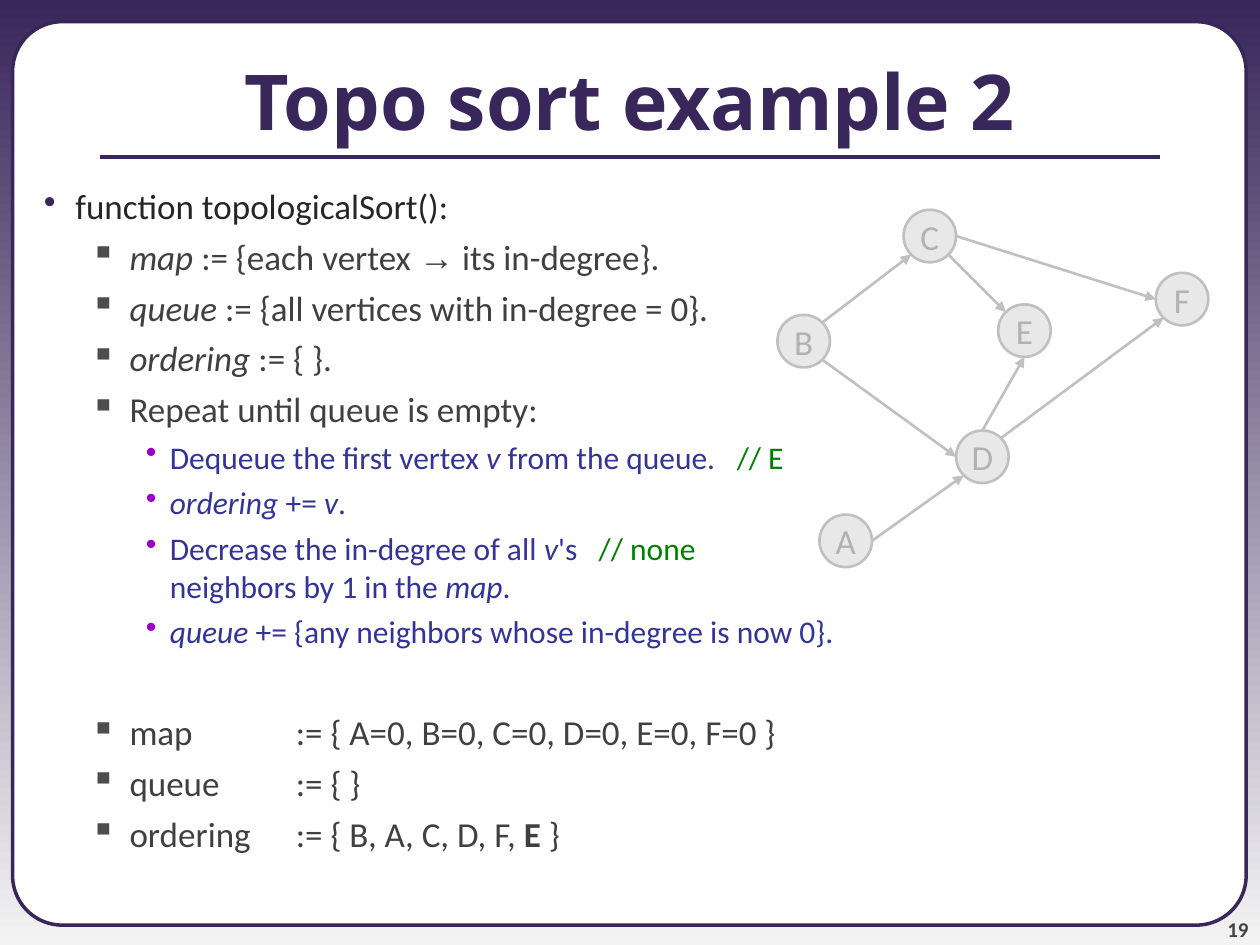
from dataclasses import dataclass
from math import cos, radians, sin

from lxml import etree
from pptx import Presentation
from pptx.dml.color import RGBColor
from pptx.enum.shapes import MSO_CONNECTOR, MSO_SHAPE
from pptx.enum.text import MSO_ANCHOR, MSO_AUTO_SIZE, PP_ALIGN
from pptx.oxml.ns import qn
from pptx.util import Emu, Inches, Pt

STRAIGHT = MSO_CONNECTOR.STRAIGHT
ROUNDED, OVAL = MSO_SHAPE.ROUNDED_RECTANGLE, MSO_SHAPE.OVAL
MIDDLE, BOTTOM = MSO_ANCHOR.MIDDLE, MSO_ANCHOR.BOTTOM
CENTER, RIGHT = PP_ALIGN.CENTER, PP_ALIGN.RIGHT
NO_FIT = MSO_AUTO_SIZE.NONE


@dataclass(frozen=True)
class Theme:
    """Colours, fonts and type sizes of the slide."""
    brand: str = "39275B"
    mist: str = "F3F3F3"
    panel: str = "FFFFFF"
    number: str = "424242"
    comment: str = "008000"
    node: str = "E8E8E8"
    edge: str = "C0C0C0"
    label: str = "B2B2B2"
    heading: str = "Open Sans"
    body: str = "Calibri"
    symbol: str = "Arial"
    title_size: int = 44
    node_size: int = 20
    number_size: int = 12


@dataclass(frozen=True)
class Level:
    """Look of one outline level."""
    bullet: str
    bullet_color: str
    color: str
    size: int
    margin: float
    hang: float
    before: float


THEME = Theme()
LEVELS = [
    Level("•", "39275B", "262626", 20, 0.5, 0.25, 5),
    Level("▪", "4D4D4D", "404040", 20, 0.93, 0.31, 5),
    Level("•", "9900CC", "333399", 18, 1.25, 0.19, 4.5),
]
VALUE_TAB = 2.25
STATE_GAP = 34.5

ALGORITHM = [
    (0, [("function topologicalSort():", "")]),
    (1, [("map ", "i"), (":= {each vertex ", ""), ("→", "symbol"), (" its in-degree}.", "")]),
    (1, [("queue ", "i"), (":= {all vertices with in-degree = 0}.", "")]),
    (1, [("ordering ", "i"), (":= { }.", "")]),
    (1, [("Repeat until queue is empty:", "")]),
    (2, [("Dequeue the first vertex ", ""), ("v", "i"), (" from the queue.   ", ""),
         ("// E", "comment")]),
    (2, [("ordering ", "i"), ("+= ", ""), ("v", "i"), (".", "")]),
    (2, [("Decrease the in-degree of all ", ""), ("v", "i"), ("'s   ", ""),
         ("// none", "comment"), ("", "break"), ("neighbors by 1 in the ", ""),
         ("map", "i"), (".", "")]),
    (2, [("queue ", "i"), ("+= {any neighbors whose in-degree is now 0}.", "")]),
]
STATE = [
    (1, [("map\t:= { A=0, B=0, C=0, D=0, E=0, F=0 }", "")]),
    (1, [("queue\t:= { }", "")]),
    (1, [("ordering\t:= { B, A, C, D, F, ", ""), ("E", "b"), (" }", "")]),
]

GRAPH_COLS, NODE_CELLS = 41, 5
NODES = {"C": (12, 0), "A": (4, 29), "F": (36, 6), "D": (17, 21), "B": (0, 10), "E": (21, 9)}
ANGLES = {"e": 0, "se": 45, "s": 90, "sw": 135, "w": 180, "nw": 225, "n": 270, "ne": 315}
EDGES = [("B", "ne", "C", "sw"), ("C", "e", "F", "w"), ("B", "se", "D", "w"),
         ("D", "ne", "F", "sw"), ("A", "e", "D", "sw"), ("C", "se", "E", "nw"),
         ("D", "n", "E", "s")]


def rgb(color):
    """Turn a hex string into a colour."""
    return RGBColor.from_string(color)


def set_font(font, name, size, color, bold=False):
    """Apply face, size, colour and weight to a font."""
    font.name, font.size, font.bold = name, Pt(size), bold
    font.color.rgb = rgb(color)


def share(prs, left, top, width, height):
    """Return a box given as shares of the slide."""
    w, h = prs.slide_width, prs.slide_height
    return Emu(int(left * w)), Emu(int(top * h)), Emu(int(width * w)), Emu(int(height * h))


def add_panel(shapes, box, kind, fill, line, width):
    """Add a filled and outlined shape without shadow."""
    sp = shapes.add_shape(kind, *box)
    sp.shadow.inherit = False
    sp.fill.solid()
    sp.fill.fore_color.rgb = rgb(fill)
    sp.line.color.rgb = rgb(line)
    sp.line.width = Pt(width)
    return sp


def add_line(shapes, start, end, color, width, arrow=False):
    """Add a straight line, with an arrowhead at its end if asked."""
    cx = shapes.add_connector(STRAIGHT, *[Emu(int(v)) for v in (*start, *end)])
    cx.line.color.rgb = rgb(color)
    cx.line.width = Pt(width)
    if arrow:
        etree.SubElement(cx.line._get_or_add_ln(), qn("a:tailEnd"), type="triangle")
    etree.SubElement(cx._element.spPr, qn("a:effectLst"))


def clear_insets(tf):
    """Remove the inner margins of a text frame."""
    tf.margin_left = tf.margin_right = tf.margin_top = tf.margin_bottom = 0


def build_backdrop(prs, s, box):
    """Paint the gradient and the rounded panel."""
    fill = s.background.fill
    fill.gradient()
    fill.gradient_angle = 270
    for stop, color, position in zip(fill.gradient_stops, (THEME.brand, THEME.mist), (0, 1)):
        stop.color.rgb = rgb(color)
        stop.position = position
    panel = add_panel(s.shapes, box, ROUNDED, THEME.panel, THEME.brand, 2)
    panel.adjustments[0] = 0.055


def build_title(s, box, text):
    """Place the title above the panel and underline it."""
    left, top, width, height = box
    sp = s.shapes.title
    s.shapes._spTree.append(sp._element)
    sp.left, sp.top, sp.width, sp.height = box
    tf = sp.text_frame
    tf.text = text
    tf.auto_size, tf.vertical_anchor, tf.word_wrap = NO_FIT, MIDDLE, True
    p = tf.paragraphs[0]
    p.alignment = CENTER
    set_font(p.runs[0].font, THEME.heading, THEME.title_size, THEME.brand, True)
    rule_y = top + height * 0.866
    add_line(s.shapes, (left + width * 0.079, rule_y), (left + width * 0.921, rule_y),
             THEME.brand, 2.25)


def build_number(s, box, text):
    """Place the slide number."""
    tf = s.shapes.add_textbox(*box).text_frame
    clear_insets(tf)
    tf.word_wrap, tf.vertical_anchor = True, BOTTOM
    tf.text = text
    p = tf.paragraphs[0]
    p.alignment = RIGHT
    set_font(p.runs[0].font, THEME.body, THEME.number_size, THEME.number, True)


def format_outline(p, level):
    """Give a paragraph the indent, bullet and tab of its level."""
    pPr = p._p.get_or_add_pPr()
    pPr.set("marL", str(Inches(level.margin)))
    pPr.set("indent", str(-Inches(level.hang)))
    color = etree.SubElement(pPr, qn("a:buClr"))
    etree.SubElement(color, qn("a:srgbClr"), val=level.bullet_color)
    etree.SubElement(pPr, qn("a:buChar"), char=level.bullet)
    tabs = etree.SubElement(pPr, qn("a:tabLst"))
    etree.SubElement(tabs, qn("a:tab"), pos=str(Inches(VALUE_TAB)), algn="l")


def build_outline(s, box, algorithm, state):
    """Write the algorithm, then the state of its variables."""
    tf = s.shapes.add_textbox(*box).text_frame
    tf.word_wrap = True
    for i, (depth, parts) in enumerate(algorithm + state):
        level = LEVELS[depth]
        p = tf.add_paragraph() if i else tf.paragraphs[0]
        format_outline(p, level)
        if i:
            p.space_before = Pt(STATE_GAP if i == len(algorithm) else level.before)
        for text, style in parts:
            if style == "break":
                p.add_line_break()
                continue
            r = p.add_run()
            r.text = text
            set_font(r.font, THEME.symbol if style == "symbol" else THEME.body, level.size,
                     THEME.comment if style == "comment" else level.color, style == "b")
            r.font.italic = style == "i"


def build_graph(s, box):
    """Draw the directed graph on a square grid."""
    left, top, width, _ = box
    cell = width / GRAPH_COLS
    shapes = s.shapes.add_group_shape().shapes

    def site(name, side):
        """Find the point of a node's rim on the given side."""
        col, row = NODES[name]
        radius, angle = NODE_CELLS / 2, radians(ANGLES[side])
        return (left + cell * (col + radius + radius * cos(angle)),
                top + cell * (row + radius + radius * sin(angle)))

    for name, (col, row) in NODES.items():
        size = Emu(int(NODE_CELLS * cell))
        spot = Emu(int(left + col * cell)), Emu(int(top + row * cell)), size, size
        tf = add_panel(shapes, spot, OVAL, THEME.node, THEME.edge, 1.5).text_frame
        tf.word_wrap, tf.vertical_anchor = False, MIDDLE
        tf.text = name
        p = tf.paragraphs[0]
        p.alignment = CENTER
        set_font(p.runs[0].font, THEME.body, THEME.node_size, THEME.label)
    for tail, tail_side, head, head_side in EDGES:
        add_line(shapes, site(tail, tail_side), site(head, head_side), THEME.edge, 1.5, True)


def main():
    """Build and save the slide."""
    prs = Presentation()
    prs.slide_width, prs.slide_height = Inches(10), Inches(7.5)
    s = prs.slides.add_slide(prs.slide_layouts[5])
    build_backdrop(prs, s, share(prs, 0.01, 0.023, 0.979, 0.956))
    build_number(s, share(prs, 0.908, 0.944, 0.083, 0.053), "19")
    build_title(s, share(prs, 0, 0.022, 1, 0.167), "Topo sort example 2")
    build_outline(s, share(prs, 0, 0.189, 1, 0.811), ALGORITHM, STATE)
    build_graph(s, share(prs, 0.617, 0.222, 0.342, 0.378))
    prs.save("out.pptx")


if __name__ == "__main__":
    main()
